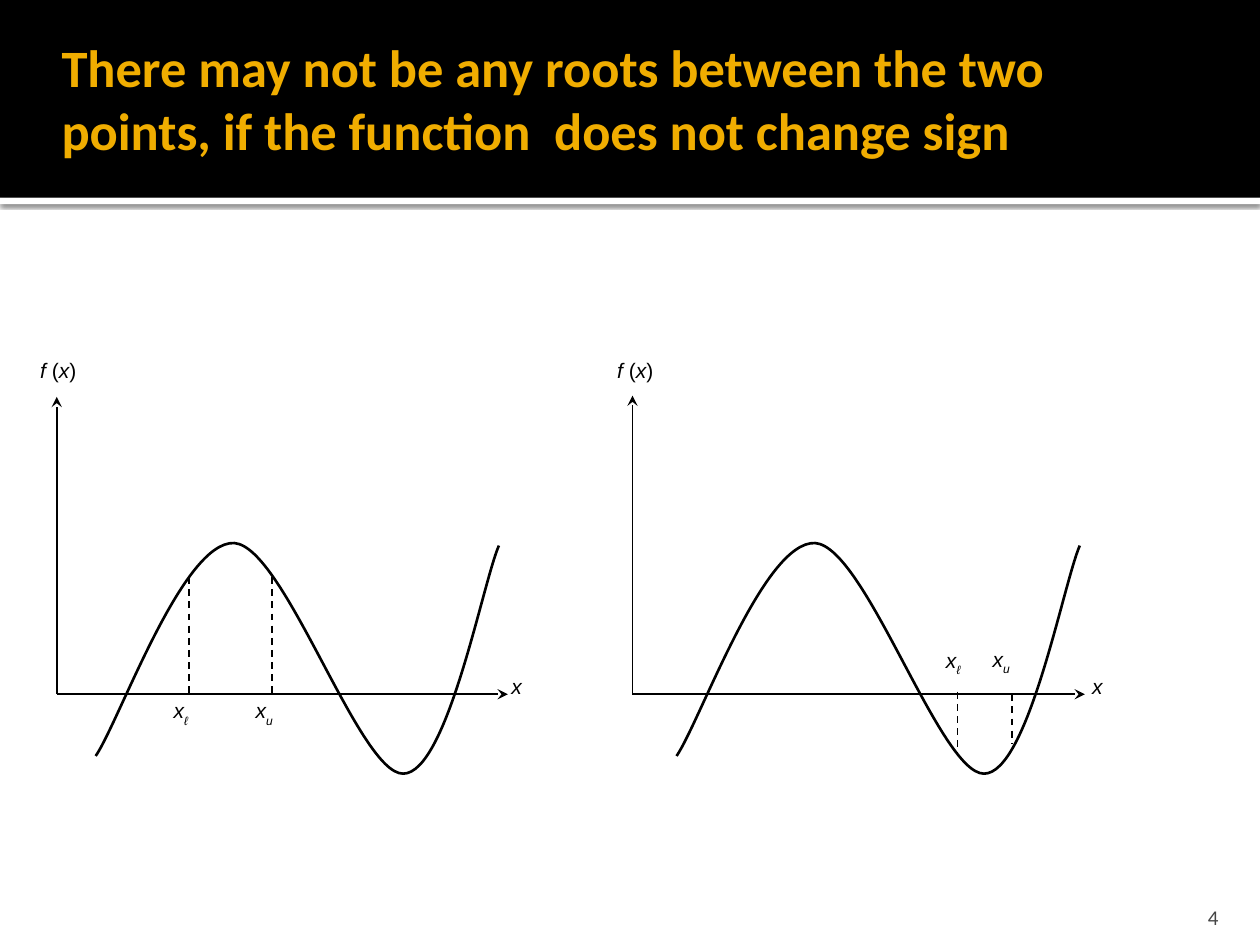
from lxml.etree import SubElement
from pptx import Presentation
from pptx.dml.color import RGBColor
from pptx.enum.dml import MSO_LINE
from pptx.enum.shapes import MSO_CONNECTOR, MSO_SHAPE
from pptx.enum.text import MSO_ANCHOR, PP_ALIGN
from pptx.oxml.ns import qn
from pptx.util import Inches, Pt

BLACK = RGBColor(0x00, 0x00, 0x00)
WHITE = RGBColor(0xFF, 0xFF, 0xFF)
GOLD = RGBColor(0xF0, 0xAD, 0x00)
GRAY = RGBColor(0x45, 0x45, 0x45)

AXIS_Y = 5.51
# Start point, then two control points and an end point per cubic segment.
CURVE_POINTS = [
    (0.76, 6),
    (0.95, 5.72), (1.45, 4.29), (1.86, 4.31),
    (2.26, 4.34), (2.85, 6.14), (3.2, 6.14),
    (3.55, 6.14), (3.83, 4.63), (3.96, 4.33),
]


def add_band(page, top, height, color):
    band = page.shapes.add_shape(
        MSO_SHAPE.RECTANGLE, 0, Inches(top), Inches(10), Inches(height))
    band.shadow.inherit = False
    band.fill.solid()
    band.fill.fore_color.rgb = color
    band.line.fill.background()
    return band


def add_drop_shadow(shape):
    effects = shape._element.spPr.find(qn("a:effectLst"))
    shadow = SubElement(effects, qn("a:outerShdw"), blurRad=str(Pt(2.5)),
                        dist=str(Pt(0.8)), dir="5400000", rotWithShape="0")
    color = SubElement(shadow, qn("a:srgbClr"), val=str(BLACK))
    SubElement(color, qn("a:alpha"), val="60000")


def add_text(page, left, top, width, height, spans, size=12, name="Arial",
             color=BLACK, align=PP_ALIGN.JUSTIFY, anchor=MSO_ANCHOR.TOP,
             right_inset=0.1, bottom_inset=0.05):
    """Add one paragraph; spans are (text, italic, subscript) triples."""
    box = page.shapes.add_textbox(
        Inches(left), Inches(top), Inches(width), Inches(height))
    frame = box.text_frame
    frame.word_wrap = True
    frame.vertical_anchor = anchor
    frame.margin_right = Inches(right_inset)
    frame.margin_bottom = Inches(bottom_inset)
    para = frame.paragraphs[0]
    para.alignment = align
    para.font.size = Pt(size)
    para.font.name = name
    para.font.color.rgb = color
    for text, italic, subscript in spans:
        span = para.add_run()
        span.text = text
        span.font.italic = italic
        if subscript:
            span.font._element.set("baseline", "-30000")
    return para


def add_line(page, start, end):
    line = page.shapes.add_connector(
        MSO_CONNECTOR.STRAIGHT, *[Inches(value) for value in (*start, *end)])
    line.line.color.rgb = BLACK
    line.line.width = Pt(1)
    SubElement(line._element.spPr, qn("a:effectLst"))
    return line


def add_axis(page, start, end):
    axis = add_line(page, start, end)
    SubElement(axis.line._get_or_add_ln(), qn("a:tailEnd"), type="stealth")


def add_guide(page, x, top, bottom):
    add_line(page, (x, top), (x, bottom)).line.dash_style = MSO_LINE.DASH


def smooth_segments(shape):
    """Turn each three straight segments into one cubic segment."""
    outline = next(shape._element.iter(qn("a:path")))
    segments = outline.findall(qn("a:lnTo"))
    for index in range(0, len(segments), 3):
        cubic = SubElement(outline, qn("a:cubicBezTo"))
        for segment in segments[index:index + 3]:
            cubic.append(segment[0])
            outline.remove(segment)


def add_curve(page, shift):
    points = [(Inches(x + shift), Inches(y)) for x, y in CURVE_POINTS]
    builder = page.shapes.build_freeform(*points[0])
    builder.add_line_segments(points[1:], close=False)
    curve = builder.convert_to_shape()
    smooth_segments(curve)
    curve.shadow.inherit = False
    curve.fill.background()
    curve.line.color.rgb = BLACK
    curve.line.width = Pt(1.5)


def add_graph(page, origin_x, axis_end, axis_top, label_box, curve_shift,
              guides, bounds):
    """Draw axes, curve, guides (x, top, bottom) and bound labels (left, top)."""
    add_axis(page, (origin_x, AXIS_Y), (origin_x, axis_top))
    add_axis(page, (origin_x, AXIS_Y), (axis_end, AXIS_Y))
    for guide in guides:
        add_guide(page, *guide)
    label_left, label_width = label_box
    add_text(page, label_left, 2.79, label_width, 0.4,
             [("f ", True, False), ("(", False, False),
              ("x", True, False), (")", False, False)])
    for (left, top), subscript in zip(bounds, "ℓu"):
        add_text(page, left, top, 0.54, 0.41,
                 [("x", True, False), (subscript, True, True)])
    add_text(page, 3.96 + curve_shift, 5.3, 0.54, 0.42, [("x", True, False)])
    add_curve(page, curve_shift)


def main():
    deck = Presentation()
    deck.slide_width, deck.slide_height = Inches(10), Inches(7.5)
    page = deck.slides.add_slide(deck.slide_layouts[6])

    add_drop_shadow(add_band(page, 1.57, 0.05, WHITE))
    add_band(page, 0, 1.57, BLACK)
    title = add_text(
        page, 0.39, 0, 9, 1.56,
        [("There may not be any roots between the two points, "
          "if the function  does not change sign", None, False)],
        size=30, name="Calibri", color=GOLD, align=PP_ALIGN.LEFT,
        anchor=MSO_ANCHOR.MIDDLE, right_inset=0.05)
    title.font.bold = True

    add_graph(page, origin_x=0.45, axis_end=4.03, axis_top=3.15,
              label_box=(0.22, 0.61), curve_shift=0,
              guides=[(1.5, 4.58, AXIS_Y), (2.16, 4.58, AXIS_Y)],
              bounds=[(1.28, 5.49), (1.93, 5.49)])
    add_graph(page, origin_x=5.02, axis_end=8.61, axis_top=3.14,
              label_box=(4.8, 0.84), curve_shift=4.61,
              guides=[(8.03, AXIS_Y, 5.9), (7.6, 5.49, 5.98)],
              bounds=[(7.41, 5.09), (7.78, 5.08)])

    add_text(page, 8.97, 7.08, 0.8, 0.3, [("4", None, False)], name="Calibri",
             color=GRAY, align=PP_ALIGN.RIGHT, anchor=MSO_ANCHOR.BOTTOM,
             bottom_inset=0)
    deck.save("out.pptx")


if __name__ == "__main__":
    main()
